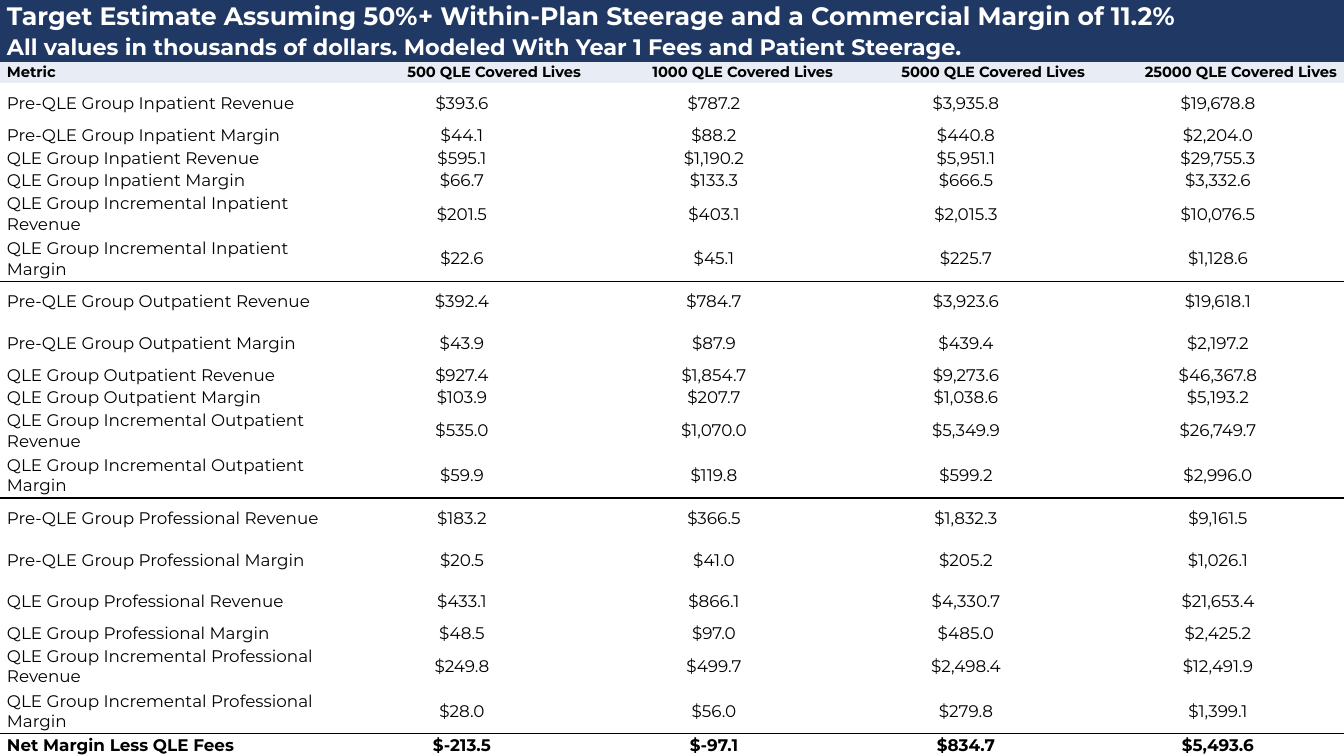
from dataclasses import dataclass

from lxml import etree
from pptx import Presentation
from pptx.dml.color import RGBColor
from pptx.enum.text import MSO_ANCHOR as Anchor, PP_ALIGN as Align
from pptx.oxml.ns import qn
from pptx.util import Pt

PX = 6350  # EMU in one px, 144 px to the inch
SLIDE_WIDTH, SLIDE_HEIGHT = 1920, 1080
COLUMN_WIDTHS = [480, 360, 360, 360, 360]
TITLE_ROW, SUBTITLE_ROW, HEADER_ROW = 46, 43, 30
SINGLE, TALL, DOUBLE = 32, 59, 64  # heights of the body rows
TEXT_INSET = 10
NO_STYLE = "{2D5ABB26-0587-4C30-8999-92F81FD0307C}"


@dataclass(frozen=True)
class Theme:
    font: str = "Montserrat"
    navy: str = "203864"
    pale: str = "E7ECF5"
    white: str = "FFFFFF"
    black: str = "000000"
    title: float = 18
    subtitle: float = 16
    header: float = 10.5
    body: float = 12
    rule: float = 1


THEME = Theme()

TITLE = "Target Estimate Assuming 50%+ Within-Plan Steerage and a Commercial Margin of 11.2%"
SUBTITLE = "All values in thousands of dollars. Modeled With Year 1 Fees and Patient Steerage."
COVERED_LIVES = [500, 1000, 5000, 25000]
METRICS = [
    "Pre-QLE Group {} Revenue",
    "Pre-QLE Group {} Margin",
    "QLE Group {} Revenue",
    "QLE Group {} Margin",
    "QLE Group Incremental {} Revenue",
    "QLE Group Incremental {} Margin",
]
# Each care type: row height and values for every metric
CARE_TYPES = {
    "Inpatient": [
        (TALL, [393.6, 787.2, 3935.8, 19678.8]),
        (SINGLE, [44.1, 88.2, 440.8, 2204.0]),
        (SINGLE, [595.1, 1190.2, 5951.1, 29755.3]),
        (SINGLE, [66.7, 133.3, 666.5, 3332.6]),
        (DOUBLE, [201.5, 403.1, 2015.3, 10076.5]),
        (DOUBLE, [22.6, 45.1, 225.7, 1128.6]),
    ],
    "Outpatient": [
        (TALL, [392.4, 784.7, 3923.6, 19618.1]),
        (TALL, [43.9, 87.9, 439.4, 2197.2]),
        (SINGLE, [927.4, 1854.7, 9273.6, 46367.8]),
        (SINGLE, [103.9, 207.7, 1038.6, 5193.2]),
        (DOUBLE, [535.0, 1070.0, 5349.9, 26749.7]),
        (DOUBLE, [59.9, 119.8, 599.2, 2996.0]),
    ],
    "Professional": [
        (TALL, [183.2, 366.5, 1832.3, 9161.5]),
        (TALL, [20.5, 41.0, 205.2, 1026.1]),
        (TALL, [433.1, 866.1, 4330.7, 21653.4]),
        (SINGLE, [48.5, 97.0, 485.0, 2425.2]),
        (DOUBLE, [249.8, 499.7, 2498.4, 12491.9]),
        (DOUBLE, [28.0, 56.0, 279.8, 1399.1]),
    ],
}
NET_MARGIN = [-213.5, -97.1, 834.7, 5493.6]


def set_borders(cell, rules):
    """Draw a thin line on the sides named in rules and clear the others."""
    properties = cell._tc.get_or_add_tcPr()
    for side in ("lnL", "lnR", "lnT", "lnB"):
        line = etree.SubElement(properties, qn(f"a:{side}"), w=str(Pt(THEME.rule)))
        if side in rules:
            fill = etree.SubElement(line, qn("a:solidFill"))
            etree.SubElement(fill, qn("a:srgbClr"), val=THEME.black)
        else:
            etree.SubElement(line, qn("a:noFill"))


def write_cell(cell, text, *, size=THEME.body, color=THEME.black, bold=False,
               align=Align.LEFT, fill=None, rules=()):
    set_borders(cell, rules)
    if fill:
        cell.fill.solid()
        cell.fill.fore_color.rgb = RGBColor.from_string(fill)
    else:
        cell.fill.background()
    cell.margin_left = cell.margin_right = cell.margin_top = cell.margin_bottom = 0
    cell.vertical_anchor = Anchor.MIDDLE
    paragraph = cell.text_frame.paragraphs[0]
    paragraph.alignment = align
    indent = paragraph._p.get_or_add_pPr()
    indent.set("marL", str(TEXT_INSET * PX))
    indent.set("marR", str(TEXT_INSET * PX))
    run = paragraph.add_run()
    run.text = text
    run.font.name = THEME.font
    run.font.size = Pt(size)
    run.font.bold = bold
    run.font.color.rgb = RGBColor.from_string(color)


def write_banner(table, row, text, size):
    """Write a heading across the whole table width."""
    last = len(COLUMN_WIDTHS) - 1
    table.cell(row, 0).merge(table.cell(row, last))
    write_cell(table.cell(row, 0), text, size=size, color=THEME.white,
               bold=True, fill=THEME.navy)


def write_row(table, row, texts, number_align=Align.CENTER, **style):
    for column, text in enumerate(texts):
        align = number_align if column else Align.LEFT
        write_cell(table.cell(row, column), text, align=align, **style)


def money_row(label, values):
    return [label] + [f"${value:,.1f}" for value in values]


def body_rows():
    """List height, texts and style of each row under the header."""
    rows = []
    for number, (care, lines) in enumerate(CARE_TYPES.items()):
        for index, (metric, (height, values)) in enumerate(zip(METRICS, lines)):
            rules = []
            if index == 0 and number > 0:
                rules = ["lnT"]
            elif index == len(METRICS) - 1:
                rules = ["lnB"]
            rows.append((height, money_row(metric.format(care), values), {"rules": rules}))
    net = money_row("Net Margin Less QLE Fees", NET_MARGIN)
    rows.append((SINGLE, net, {"rules": ["lnT"], "bold": True}))
    return rows


def add_plain_table(slide, heights):
    frame = slide.shapes.add_table(len(heights), len(COLUMN_WIDTHS), 0, 0,
                                   sum(COLUMN_WIDTHS) * PX, sum(heights) * PX)
    for style in frame.element.iter(qn("a:tableStyleId")):
        style.text = NO_STYLE
    table = frame.table
    table.first_row = table.horz_banding = False
    for column, width in zip(table.columns, COLUMN_WIDTHS):
        column.width = width * PX
    for row, height in zip(table.rows, heights):
        row.height = height * PX
    return table


def main():
    presentation = Presentation()
    presentation.slide_width = SLIDE_WIDTH * PX
    presentation.slide_height = SLIDE_HEIGHT * PX
    slide = presentation.slides.add_slide(presentation.slide_layouts[6])

    rows = body_rows()
    heights = [TITLE_ROW, SUBTITLE_ROW, HEADER_ROW] + [height for height, _, _ in rows]
    table = add_plain_table(slide, heights)

    # Headings
    write_banner(table, 0, TITLE, THEME.title)
    write_banner(table, 1, SUBTITLE, THEME.subtitle)
    headers = ["Metric"] + [f"{lives} QLE Covered Lives" for lives in COVERED_LIVES]
    write_row(table, 2, headers, number_align=Align.RIGHT, size=THEME.header,
              bold=True, fill=THEME.pale)

    # Revenue and margin by care type, then the net margin
    for row, (_, texts, style) in enumerate(rows, start=3):
        write_row(table, row, texts, **style)

    presentation.save("out.pptx")


if __name__ == "__main__":
    main()
